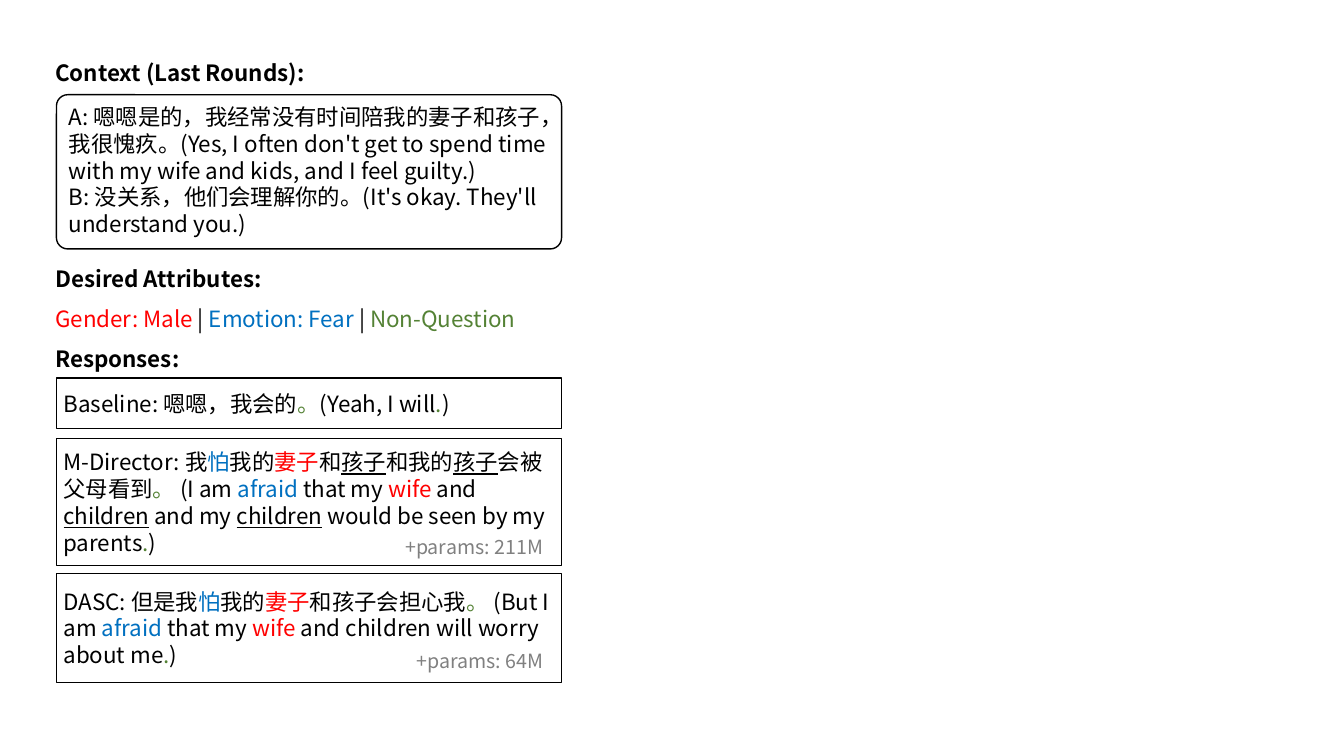
from pptx import Presentation
from pptx.dml.color import RGBColor
from pptx.enum.shapes import MSO_SHAPE
from pptx.enum.text import MSO_ANCHOR, PP_ALIGN
from pptx.util import Inches, Pt
from lxml.etree import SubElement
from pptx.oxml.ns import qn

BLACK = RGBColor(0x00, 0x00, 0x00)
WHITE = RGBColor(0xFF, 0xFF, 0xFF)
RED = RGBColor(0xFF, 0x00, 0x00)
BLUE = RGBColor(0x00, 0x70, 0xC0)
GREEN = RGBColor(0x54, 0x82, 0x35)
GRAY = RGBColor(0x80, 0x80, 0x80)
FONT = "Noto Sans CJK SC"
UNDERLINED = {"underline": True}

prs = Presentation()
prs.slide_width, prs.slide_height = Inches(13.33), Inches(7.5)
s = prs.slides.add_slide(prs.slide_layouts[6])


def write(tf, paragraphs, **base):
    tf.word_wrap = True
    for i, runs in enumerate(paragraphs):
        p = tf.paragraphs[0] if i == 0 else tf.add_paragraph()
        p.alignment = PP_ALIGN.LEFT
        for text, style in runs:
            r = p.add_run()
            r.text = text
            if isinstance(style, RGBColor):
                style = {"color": style}
            fmt = {"name": FONT, "size": Pt(16), "color": BLACK, **base, **style}
            r.font.color.rgb = fmt.pop("color")
            for key, value in fmt.items():
                setattr(r.font, key, value)
            SubElement(r.font._element, qn("a:ea")).set("typeface", FONT)


def add_box(kind, top, height, paragraphs, anchor, inset):
    sp = s.shapes.add_shape(kind, Inches(0.56), Inches(top), Inches(5.01), Inches(height))
    sp.shadow.inherit = False
    sp.fill.solid()
    sp.fill.fore_color.rgb = WHITE
    sp.line.color.rgb = BLACK
    sp.line.width = Pt(1)
    tf = sp.text_frame
    tf.vertical_anchor = anchor
    tf.margin_left = tf.margin_right = Inches(inset)
    write(tf, paragraphs)
    return sp


headings = [("Context (Last Rounds):", 0.54), ("Desired Attributes:", 2.58), ("Responses:", 3.37)]
for text, top in headings:
    tb = s.shapes.add_textbox(Inches(0.45), Inches(top), Inches(3.25), Inches(0.37))
    write(tb.text_frame, [[(text, BLACK)]], bold=True)

context = [
    [("A: 嗯嗯是的，我经常没有时间陪我的妻子和孩子，我很愧疚。"
      "(Yes, I often don't get to spend time with my wife and kids, and I feel guilty.)", BLACK)],
    [("B: 没关系，他们会理解你的。(It's okay. They'll understand you.)", BLACK)],
]
sp = add_box(MSO_SHAPE.ROUNDED_RECTANGLE, 0.94, 1.53, context, MSO_ANCHOR.TOP, 0.09)
sp.adjustments[0] = 0.073

attributes = [("Gender: Male ", RED), ("| ", BLACK), ("Emotion: Fear ", BLUE),
              ("| ", BLACK), ("Non-Question", GREEN)]
tb = s.shapes.add_textbox(Inches(0.45), Inches(2.98), Inches(5.11), Inches(0.37))
write(tb.text_frame, [attributes])

afraid_wife = [("afraid", BLUE), (" that my ", BLACK), ("wife", RED)]
afraid_wife_zh = [("怕", BLUE), ("我的", BLACK), ("妻子", RED)]
ending = [(".", GREEN), (")", BLACK)]
baseline = [("Baseline: 嗯嗯，我会的", BLACK), ("。", GREEN), ("(Yeah, I will", BLACK), *ending]
director = [
    ("M-Director: 我", BLACK), *afraid_wife_zh, ("和", BLACK), ("孩子", UNDERLINED),
    ("和我的", BLACK), ("孩子", UNDERLINED), ("会被父母看到", BLACK), ("。 ", GREEN),
    ("(I am ", BLACK), *afraid_wife, (" and ", BLACK), ("children", UNDERLINED),
    (" and my ", BLACK), ("children", UNDERLINED),
    (" would be seen by my parents", BLACK), *ending,
]
dasc = [
    ("DASC: 但是我", BLACK), *afraid_wife_zh, ("和孩子会担心我", BLACK), ("。 ", GREEN),
    ("(But I am ", BLACK), *afraid_wife, (" and children will worry about me", BLACK), *ending,
]
for top, height, runs in [(3.75, 0.5, baseline), (4.35, 1.26, director), (5.69, 1.08, dasc)]:
    add_box(MSO_SHAPE.RECTANGLE, top, height, [runs], MSO_ANCHOR.MIDDLE, 0.07)

for text, left, top in [("+params: 211M", 3.92, 5.26), ("+params: 64M", 4.03, 6.39)]:
    tb = s.shapes.add_textbox(Inches(left), Inches(top), Inches(1.72), Inches(0.34))
    write(tb.text_frame, [[(text, GRAY)]], size=Pt(14))

prs.save("out.pptx")
